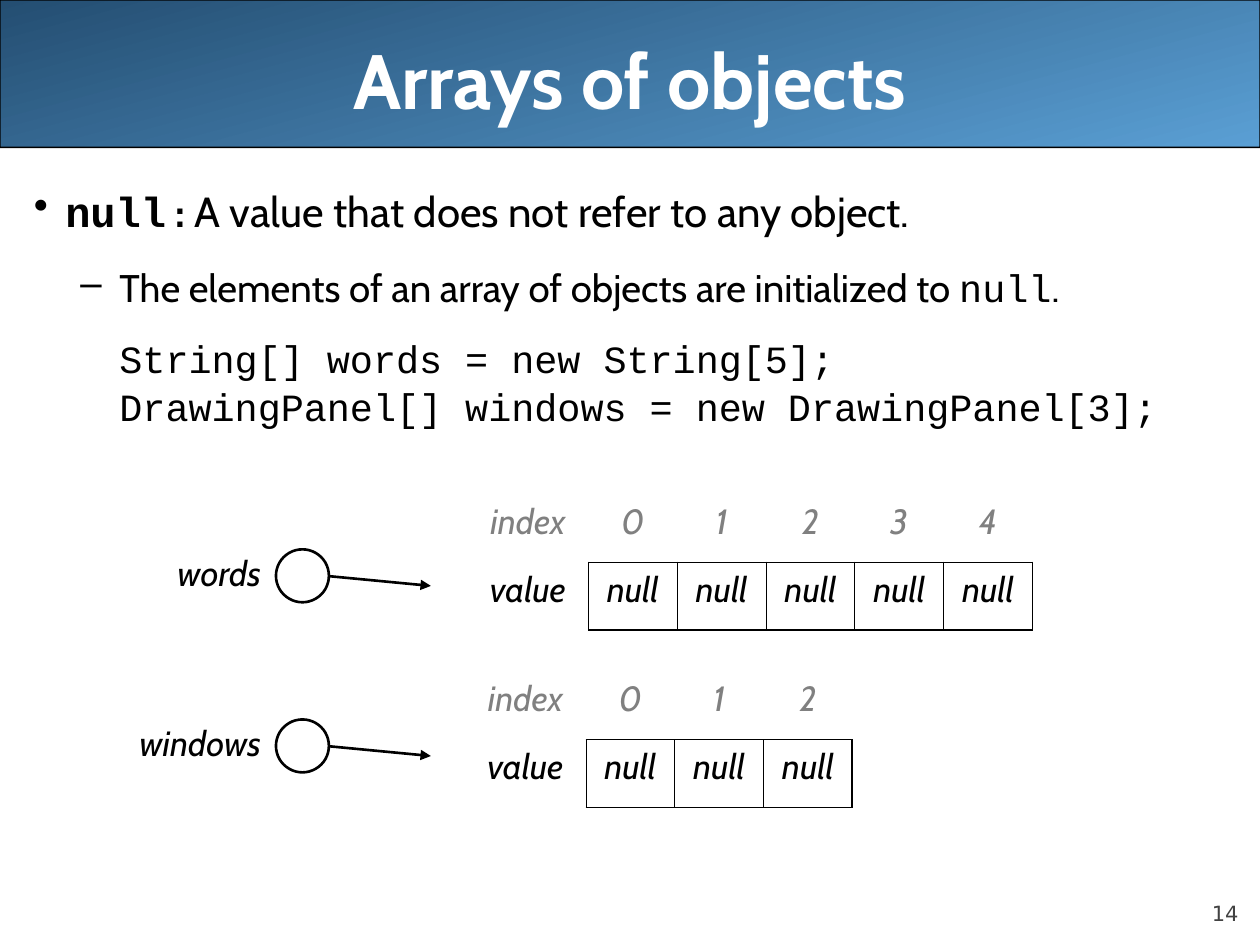
from lxml import etree
from pptx import Presentation, util as u
from pptx.dml.color import RGBColor
from pptx.enum import shapes, text
from pptx.oxml import ns

TITLE = "Arrays of objects"
PAGE = "14"
SANS, MONO = "Cabin", "Courier New"
BLACK, WHITE, GREY = "000000", "FFFFFF", "808080"

# bullet, left margin, hanging indent, line spacing, space before, size, runs (text, font, bold)
BODY = [
    ("•", 0.25, 0.25, 1, 0, 24, [("null", MONO, True), (" : ", SANS, True),
                                 ("A value that does not refer to any object.", SANS, False)]),
    ("–", 0.68, 0.31, 1, 16.5, 22, [
        ("The elements of an array of objects are initialized to ", SANS, False),
        ("null", MONO, False), (".", SANS, False)]),
    (None, 0.68, 0, 0.8, 19, 22, [("String[] words = new String[5];", MONO, False)]),
    (None, 0.68, 0, 0.8, 6.5, 22, [("DrawingPanel[] windows = new DrawingPanel[3];", MONO, False)]),
]
# name, length, table left, table top, top of the reference circle
ARRAYS = [("words", 5, 3.71, 3.92, 4.36), ("windows", 3, 3.69, 5.33, 5.71)]
HEAD_W, CELL_W, ROW_H = 0.96, 0.705, 0.54
CIRCLE_X, CIRCLE_D = 2.19, 0.42
THIN, THICK = 0.45, 1.08


def rgb(value):
    return RGBColor.from_string(value)


def sub(parent, tag, **attrs):
    return etree.SubElement(parent, ns.qn(tag), **attrs)


def add_run(p, words, size, font=SANS, color=BLACK, bold=False, italic=False):
    r = p.add_run()
    r.text = words
    f = r.font
    f.size, f.name, f.bold, f.italic = u.Pt(size), font, bold, italic
    f.color.rgb = rgb(color)


def add_box(parent, x, y, w, h, align, anchor=text.MSO_ANCHOR.TOP):
    tf = parent.add_textbox(*map(u.Inches, (x, y, w, h))).text_frame
    tf.word_wrap = True
    tf.vertical_anchor = anchor
    tf.paragraphs[0].alignment = align
    return tf


def add_banner(s):
    sp = s.shapes.add_shape(shapes.MSO_SHAPE.ROUNDED_RECTANGLE, 0, 0, u.Inches(10), u.Inches(1.17))
    sp.adjustments[0] = 0.001
    sp.shadow.inherit = False
    sp.fill.gradient()
    sp.fill.gradient_angle = 105
    for stop, color in zip(sp.fill.gradient_stops, ("5A9FD4", "244E72")):
        stop.color.rgb = rgb(color)
    sp.line.color.rgb = rgb(BLACK)
    sp.line.width = u.Pt(0.75)


def add_body(s):
    tf = add_box(s.shapes, 0.17, 1.42, 9.83, 5.67, text.PP_ALIGN.LEFT)
    for i, (bullet, margin, hang, spacing, before, size, runs) in enumerate(BODY):
        p = tf.add_paragraph() if i else tf.paragraphs[0]
        pPr = p._p.get_or_add_pPr()
        pPr.set("marL", str(u.Inches(margin)))
        pPr.set("indent", str(-u.Inches(hang)))
        p.line_spacing = spacing
        if before:
            p.space_before = u.Pt(before)
        if bullet:
            sub(sub(pPr, "a:buClr"), "a:srgbClr", val=BLACK)
            sub(pPr, "a:buChar", char=bullet)
        for words, font, bold in runs:
            add_run(p, words, size, font, bold=bold)


def set_borders(cell, **widths):
    """Draw the sides named L, R, T and B; the other sides stay empty."""
    tcPr = cell._tc.get_or_add_tcPr()
    for side in "LRTB":
        width = widths.get(side, 0)
        ln = sub(tcPr, "a:ln" + side, w=str(u.Pt(width)))
        if width:
            sub(sub(ln, "a:solidFill"), "a:srgbClr", val=BLACK)
        else:
            sub(ln, "a:noFill")


def add_array(s, length, x, y):
    rows = [["index", *map(str, range(length))], ["value"] + ["null"] * length]
    table = s.shapes.add_table(2, length + 1, u.Inches(x), u.Inches(y),
                               u.Inches(HEAD_W + length * CELL_W), u.Inches(2 * ROW_H)).table
    table.first_row = table.horz_banding = False
    for c, col in enumerate(table.columns):
        col.width = u.Inches(CELL_W if c else HEAD_W)
    for r, (row, color) in enumerate(zip(rows, (GREY, BLACK))):
        for c, words in enumerate(row):
            cell = table.cell(r, c)
            if r and c:
                set_borders(cell, L=THIN, T=THIN, B=THICK, R=THICK if c == length else THIN)
            elif r:
                set_borders(cell, R=THIN)
            else:
                set_borders(cell, B=THIN if c else 0)
            cell.fill.background()
            p = cell.text_frame.paragraphs[0]
            p.alignment = text.PP_ALIGN.CENTER
            add_run(p, words, 20, color=color, italic=True)


def add_reference(s, name, y):
    """Variable name, circle and arrow that points at the array."""
    group = s.shapes.add_group_shape().shapes
    tf = add_box(group, 0.67, y - 0.03, 1.5, 0.49, text.PP_ALIGN.RIGHT)
    add_run(tf.paragraphs[0], name, 20, italic=True)
    mid = y + CIRCLE_D / 2
    arrow = group.add_connector(shapes.MSO_CONNECTOR.STRAIGHT,
                                *map(u.Inches, (2.58, mid, 3.42, mid + 0.08)))
    circle = group.add_shape(shapes.MSO_SHAPE.OVAL,
                             *map(u.Inches, (CIRCLE_X, y, CIRCLE_D, CIRCLE_D)))
    circle.shadow.inherit = False
    circle.fill.solid()
    circle.fill.fore_color.rgb = rgb(WHITE)
    for sp in (arrow, circle):
        sp.line.color.rgb = rgb(BLACK)
        sp.line.width = u.Pt(1.5)
    sub(arrow.line._get_or_add_ln(), "a:tailEnd", type="triangle")
    sub(arrow._element.spPr, "a:effectLst")


def main():
    prs = Presentation()
    prs.slide_width, prs.slide_height = u.Inches(10), u.Inches(7.5)
    s = prs.slides.add_slide(prs.slide_layouts[6])
    add_banner(s)

    number = add_box(s.shapes, 9, 6.95, 0.83, 0.4, text.PP_ALIGN.RIGHT, text.MSO_ANCHOR.BOTTOM)
    number.margin_left = number.margin_right = number.margin_top = number.margin_bottom = 0
    add_run(number.paragraphs[0], PAGE, 12, "DejaVu Sans", "424242")

    title = add_box(s.shapes, 0.5, 0, 9, 1.25, text.PP_ALIGN.CENTER, text.MSO_ANCHOR.MIDDLE)
    add_run(title.paragraphs[0], TITLE, 44, color=WHITE, bold=True)

    add_body(s)
    for name, length, x, y, circle_y in ARRAYS:
        add_array(s, length, x, y)
        add_reference(s, name, circle_y)
    prs.save("out.pptx")


if __name__ == "__main__":
    main()
